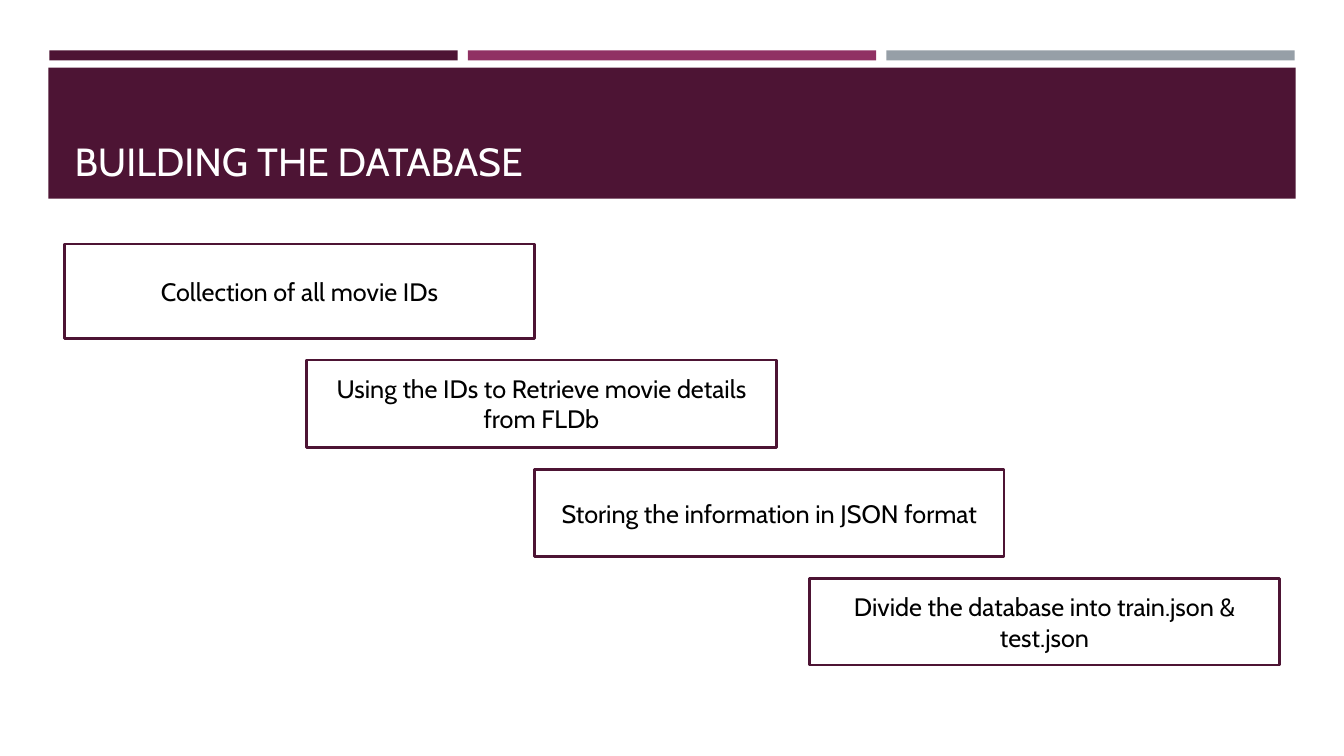
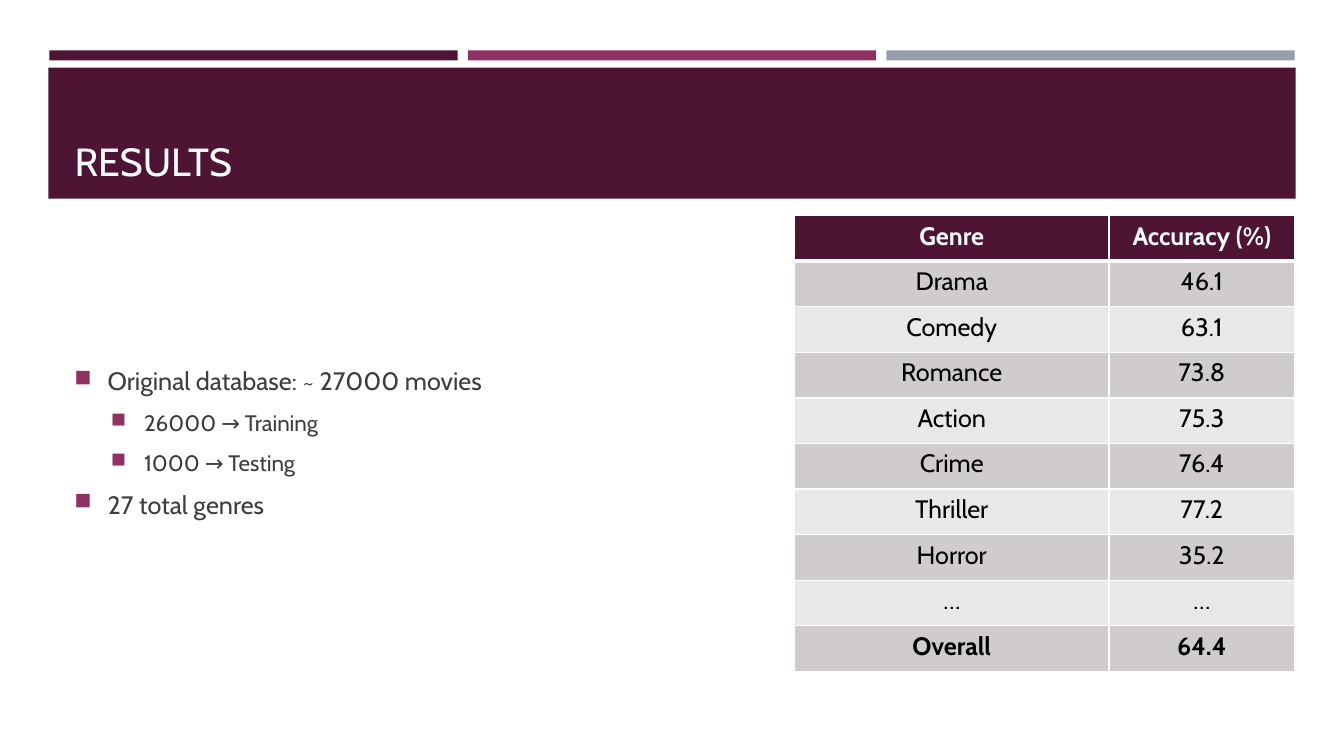
"""Build two slides on a movie genre database and its classification results."""
from dataclasses import dataclass

import lxml.etree
import pptx
import pptx.dml.color
import pptx.dml.fill
import pptx.enum.shapes
import pptx.enum.text
import pptx.oxml.ns
import pptx.shapes.autoshape
import pptx.slide
import pptx.table
import pptx.text.text
import pptx.util

Inches = pptx.util.Inches
Pt = pptx.util.Pt
qn = pptx.oxml.ns.qn
Align = pptx.enum.text.PP_ALIGN
Anchor = pptx.enum.text.MSO_ANCHOR


@dataclass(frozen=True)
class Theme:
    """Colours, font and type sizes of the deck."""
    font: str = "Cabin"
    plum: str = "4D1434"
    magenta: str = "903163"
    grey: str = "969FA7"
    white: str = "FFFFFF"
    black: str = "000000"
    body: str = "3D3D3D"
    row_dark: str = "D0CCCE"
    row_light: str = "E9E7E8"
    title_size: int = 28
    text_size: int = 18
    subtext_size: int = 16


@dataclass(frozen=True)
class Box:
    """Position and size in inches."""
    left: float
    top: float
    width: float
    height: float

    def lengths(self) -> tuple[pptx.util.Length, ...]:
        """Return the four measures as lengths."""
        return tuple(map(Inches, (self.left, self.top, self.width, self.height)))


@dataclass(frozen=True)
class Step:
    """One stage of the database pipeline."""
    text: str
    left: float
    top: float
    height: float


@dataclass(frozen=True)
class Point:
    """One bullet and its outline level."""
    text: str
    level: int = 0


THEME = Theme()
TITLE = Box(0.64, 0.77, 12.06, 1.11)
TITLE_BAND = Box(0.48, 0.67, 12.37, 1.3)
STRIPE = Box(0.49, 0.5, 4.05, 0.1)
STRIPE_PITCH = 4.15
STEP_WIDTH = 4.66
POINTS = Box(0.64, 2.38, 12.06, 4.02)
RESULTS = Box(7.88, 2.14, 4.96, 4.52)
RESULT_COLUMNS = (3.12, 1.84)

PIPELINE = (
    Step("Collection of all movie IDs", 0.64, 2.42, 0.94),
    Step("Using the IDs to Retrieve movie details from FLDb", 3.04, 3.57, 0.87),
    Step("Storing the information in JSON format", 5.3, 4.66, 0.86),
    Step("Divide the database into train.json & test.json", 8.03, 5.74, 0.86),
)
DATABASE_POINTS = (
    Point("Original database: ~ 27000 movies"),
    Point("26000 → Training", 1),
    Point("1000 → Testing", 1),
    Point("27 total genres"),
)
ACCURACIES = (
    ("Genre", "Accuracy (%)"),
    ("Drama", "46.1"),
    ("Comedy", "63.1"),
    ("Romance", "73.8"),
    ("Action", "75.3"),
    ("Crime", "76.4"),
    ("Thriller", "77.2"),
    ("Horror", "35.2"),
    ("…", "…"),
    ("Overall", "64.4"),
)


def rgb(colour: str) -> pptx.dml.color.RGBColor:
    """Convert a hex colour."""
    return pptx.dml.color.RGBColor.from_string(colour)


def paint(fill: pptx.dml.fill.FillFormat, colour: str) -> None:
    """Make a fill solid."""
    fill.solid()
    fill.fore_color.rgb = rgb(colour)


def style(paragraph: pptx.text.text._Paragraph, size: int, colour: str,
          align: Align = Align.LEFT, bold: bool = False) -> None:
    """Format a paragraph and its runs."""
    paragraph.alignment = align
    for run in paragraph.runs:
        run.font.name = THEME.font
        run.font.size = Pt(size)
        run.font.bold = bold
        run.font.color.rgb = rgb(colour)


def add_rectangle(slide: pptx.slide.Slide, box: Box,
                  colour: str) -> pptx.shapes.autoshape.Shape:
    """Draw a plain filled rectangle."""
    rectangle = slide.shapes.add_shape(
        pptx.enum.shapes.MSO_SHAPE.RECTANGLE, *box.lengths())
    rectangle.shadow.inherit = False
    paint(rectangle.fill, colour)
    rectangle.line.fill.background()
    return rectangle


def add_layout_bands(slide: pptx.slide.Slide) -> None:
    """Draw the stripes and title band and move them to the shared layout."""
    stripes = [
        add_rectangle(slide, Box(STRIPE.left + index * STRIPE_PITCH, STRIPE.top,
                                 STRIPE.width, STRIPE.height), colour)
        for index, colour in enumerate((THEME.plum, THEME.magenta, THEME.grey))
    ]
    for band in (*stripes, add_rectangle(slide, TITLE_BAND, THEME.plum)):
        slide.slide_layout.shapes._spTree.append(band._element)


def add_titled_slide(deck: pptx.presentation.Presentation, text: str) -> pptx.slide.Slide:
    """Add a slide with a formatted title."""
    slide = deck.slides.add_slide(deck.slide_layouts.get_by_name("Title Only"))
    title = slide.shapes.title
    title.left, title.top, title.width, title.height = TITLE.lengths()
    title.text_frame.text = text
    title.text_frame.auto_size = pptx.enum.text.MSO_AUTO_SIZE.NONE
    title.text_frame.vertical_anchor = Anchor.BOTTOM
    style(title.text_frame.paragraphs[0], THEME.title_size, THEME.white)
    return slide


def add_step(slide: pptx.slide.Slide, step: Step) -> None:
    """Draw one outlined pipeline stage."""
    stage = add_rectangle(
        slide, Box(step.left, step.top, STEP_WIDTH, step.height), THEME.white)
    paint(stage.line.fill, THEME.plum)
    stage.line.width = Pt(1.75)
    stage.text_frame.text = step.text
    stage.text_frame.word_wrap = True
    stage.text_frame.vertical_anchor = Anchor.MIDDLE
    style(stage.text_frame.paragraphs[0], THEME.text_size, THEME.black, Align.CENTER)


def add_bullet(paragraph: pptx.text.text._Paragraph, level: int) -> None:
    """Give a paragraph a hanging square bullet."""
    properties = paragraph._p.get_or_add_pPr()
    properties.set("marL", str(Inches(0.33 + 0.36 * level)))
    properties.set("indent", str(Inches(-0.33)))
    colour = lxml.etree.SubElement(properties, qn("a:buClr"))
    lxml.etree.SubElement(colour, qn("a:srgbClr"), val=THEME.magenta)
    lxml.etree.SubElement(properties, qn("a:buSzPct"), val="92000")
    lxml.etree.SubElement(properties, qn("a:buChar"), char="■")


def add_points(slide: pptx.slide.Slide, points: tuple[Point, ...]) -> None:
    """Write the bulleted list."""
    frame = slide.shapes.add_textbox(*POINTS.lengths()).text_frame
    frame.word_wrap = True
    frame.vertical_anchor = Anchor.MIDDLE
    frame.text = "\n".join(point.text for point in points)
    for paragraph, point in zip(frame.paragraphs, points):
        size = THEME.subtext_size if point.level else THEME.text_size
        paragraph.level = point.level
        paragraph.space_before = Pt(round(size * 0.2, 1))
        paragraph.space_after = Pt(6)
        style(paragraph, size, THEME.body)
        add_bullet(paragraph, point.level)


def add_borders(cell: pptx.table._Cell, top: int, bottom: int) -> None:
    """Draw white borders around a cell."""
    properties = cell._tc.get_or_add_tcPr()
    for side, width in (("L", 1), ("R", 1), ("T", top), ("B", bottom)):
        border = lxml.etree.SubElement(properties, qn(f"a:ln{side}"), w=str(Pt(width)))
        fill = lxml.etree.SubElement(border, qn("a:solidFill"))
        lxml.etree.SubElement(fill, qn("a:srgbClr"), val=THEME.white)


def add_results(slide: pptx.slide.Slide, rows: tuple[tuple[str, str], ...]) -> None:
    """Draw the accuracy table with header, banded rows and bold total."""
    table = slide.shapes.add_table(
        len(rows), len(RESULT_COLUMNS), *RESULTS.lengths()).table
    for column, width in zip(table.columns, RESULT_COLUMNS):
        column.width = Inches(width)
    for index, values in enumerate(rows):
        header = index == 0
        band = THEME.row_dark if index % 2 else THEME.row_light
        for cell, value in zip(table.rows[index].cells, values):
            add_borders(cell, 3 if index == 1 else 1, 3 if header else 1)
            paint(cell.fill, THEME.plum if header else band)
            cell.text_frame.text = value
            style(cell.text_frame.paragraphs[0], THEME.text_size,
                  THEME.white if header else THEME.black, Align.CENTER,
                  bold=header or index == len(rows) - 1)


def main() -> None:
    """Build and save the deck."""
    deck = pptx.Presentation()
    deck.slide_width, deck.slide_height = Inches(13.33), Inches(7.5)

    building = add_titled_slide(deck, "BUILDING THE DATABASE")
    add_layout_bands(building)
    for step in PIPELINE:
        add_step(building, step)

    results = add_titled_slide(deck, "RESULTS")
    add_points(results, DATABASE_POINTS)
    add_results(results, ACCURACIES)

    deck.save("out.pptx")


if __name__ == "__main__":
    main()
